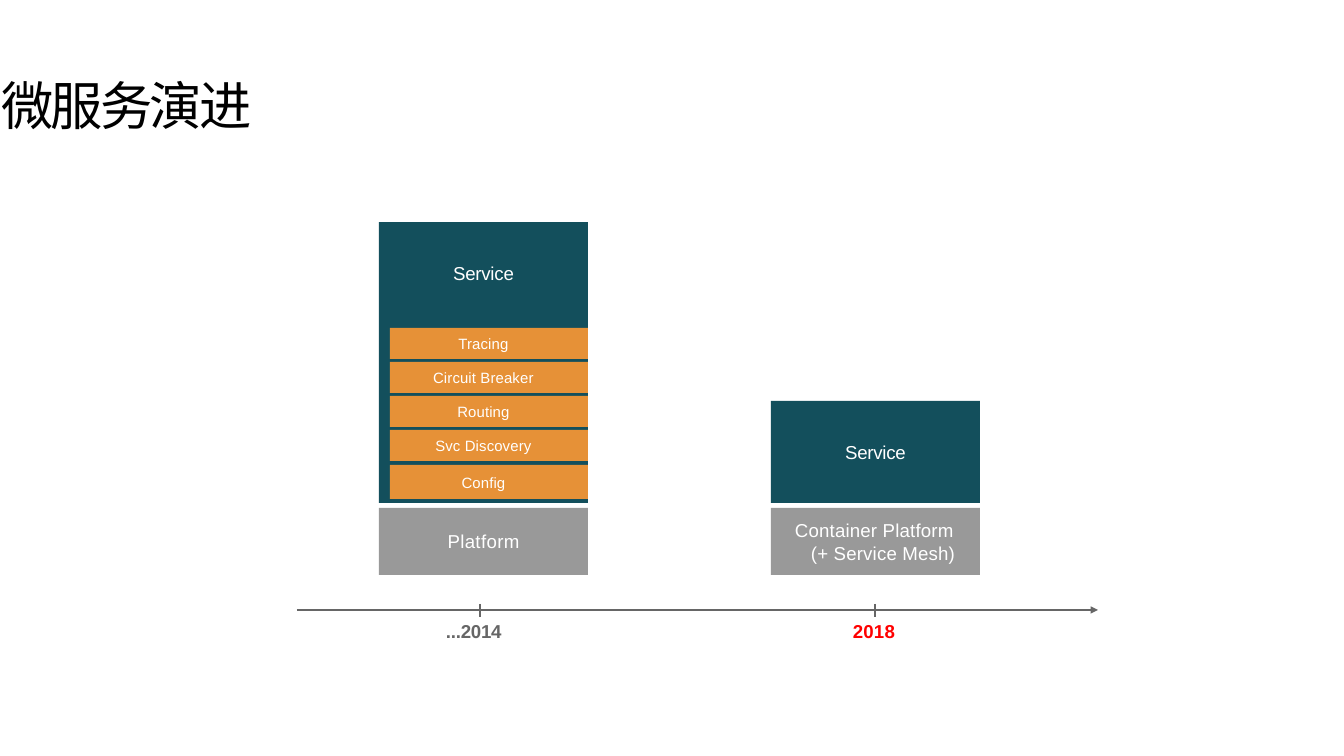
from dataclasses import dataclass

from pptx import Presentation
from pptx.dml.color import RGBColor
from pptx.enum.shapes import MSO_CONNECTOR, MSO_SHAPE
from pptx.enum.text import MSO_ANCHOR, MSO_AUTO_SIZE, PP_ALIGN
from pptx.oxml.ns import qn
from pptx.util import Emu, Pt
from lxml import etree

RECTANGLE = MSO_SHAPE.RECTANGLE
STRAIGHT = MSO_CONNECTOR.STRAIGHT
LEFT, CENTER = PP_ALIGN.LEFT, PP_ALIGN.CENTER
TOP, MIDDLE = MSO_ANCHOR.TOP, MSO_ANCHOR.MIDDLE
TITLE_ONLY = 5

TEAL = RGBColor(0x13, 0x4F, 0x5C)
ORANGE = RGBColor(0xE6, 0x91, 0x37)
GRAY = RGBColor(0x99, 0x99, 0x99)
DARK_GRAY = RGBColor(0x66, 0x66, 0x66)
RED = RGBColor(0xFF, 0x00, 0x00)
WHITE = RGBColor(0xFF, 0xFF, 0xFF)
BLACK = RGBColor(0x00, 0x00, 0x00)

EMU_PER_PX = 914400 / 134.4

# Shared geometry in px
BLOCK_WIDTH = 209
OLD_LEFT, NEW_LEFT = 379, 771
SERVICE_BOTTOM = 503
PLATFORM_TOP, PLATFORM_HEIGHT = 508, 67
BAR_LEFT, BAR_WIDTH, BAR_HEIGHT = 390, 198, 31
FIRST_BAR_TOP, LAST_BAR_TOP = 328, 465
AXIS_LEFT, AXIS_RIGHT, AXIS_Y = 297, 1098, 610
TICK_TOP, TICK_BOTTOM = 604, 617


@dataclass
class Block:
    text: str
    left: int
    top: int
    width: int
    height: int
    fill: RGBColor
    size: int = 10
    spacing: int = 0  # hundredths of a point
    anchor: MSO_ANCHOR = MIDDLE
    inset_top: int = 0
    inset_right: int = 0


@dataclass
class Year:
    text: str
    left: int
    width: int
    tick_x: int
    color: RGBColor
    spacing: int


def px(length: int) -> Emu:
    return Emu(round(length * EMU_PER_PX))


def format_text(text_frame, font_name: str, size: int, color: RGBColor,
                spacing: int, alignment=CENTER, bold: bool = False) -> None:
    for paragraph in text_frame.paragraphs:
        paragraph.alignment = alignment
        for run in paragraph.runs:
            run.font.name = font_name
            run.font.size = Pt(size)
            run.font.bold = bold
            run.font.color.rgb = color
            run.font._element.set("spc", str(spacing))


def set_frame(text_frame, anchor=MIDDLE, left: int = 0, top: int = 0,
              right: int = 0) -> None:
    text_frame.word_wrap = True
    text_frame.auto_size = MSO_AUTO_SIZE.NONE
    text_frame.vertical_anchor = anchor
    text_frame.margin_left, text_frame.margin_top = px(left), px(top)
    text_frame.margin_right, text_frame.margin_bottom = px(right), 0


def add_block(slide, block: Block):
    shape = slide.shapes.add_shape(RECTANGLE, px(block.left), px(block.top),
                                   px(block.width), px(block.height))
    shape.shadow.inherit = False
    shape.fill.solid()
    shape.fill.fore_color.rgb = block.fill
    shape.line.fill.background()
    set_frame(shape.text_frame, block.anchor, top=block.inset_top,
              right=block.inset_right)
    shape.text_frame.text = block.text
    format_text(shape.text_frame, "Arial", block.size, WHITE, block.spacing)
    return shape


def add_line(slide, x1: int, y1: int, x2: int, y2: int, arrow: bool = False) -> None:
    line = slide.shapes.add_connector(STRAIGHT, px(x1), px(y1), px(x2), px(y2))
    line.line.color.rgb = DARK_GRAY
    line.line.width = Pt(0.75)
    properties = line._element.spPr
    if arrow:
        etree.SubElement(properties.find(qn("a:ln")), qn("a:tailEnd"),
                         type="triangle", w="sm", len="sm")
    etree.SubElement(properties, qn("a:effectLst"))


def add_year(slide, year: Year) -> None:
    add_line(slide, year.tick_x, TICK_TOP, year.tick_x, TICK_BOTTOM)
    box = slide.shapes.add_textbox(px(year.left), px(618), px(year.width), px(26))
    set_frame(box.text_frame, left=1)
    box.text_frame.text = year.text
    format_text(box.text_frame, "Arial", 10, year.color, year.spacing, LEFT, bold=True)


def main() -> None:
    presentation = Presentation()
    presentation.slide_width, presentation.slide_height = px(1344), px(756)
    slide = presentation.slides.add_slide(presentation.slide_layouts[TITLE_ONLY])

    # Title
    title = slide.shapes.title
    title.left, title.top, title.width, title.height = px(0), px(71), px(712), px(66)
    set_frame(title.text_frame, left=1, top=1)
    title.text_frame.text = "微服务演进"
    format_text(title.text_frame, "Calibri", 28, BLACK, -140, LEFT)

    # Old stack: the service carries its own infrastructure libraries
    add_block(slide, Block("Service", OLD_LEFT, 222, BLOCK_WIDTH, SERVICE_BOTTOM - 222,
                           TEAL, spacing=-10, anchor=TOP, inset_top=40))
    bars = ["Tracing", "Circuit Breaker", "Routing", "Svc Discovery", "Config"]
    for index, text in enumerate(bars):
        top = FIRST_BAR_TOP + (LAST_BAR_TOP - FIRST_BAR_TOP) * index // (len(bars) - 1)
        height = 34 if text == bars[-1] else BAR_HEIGHT
        add_block(slide, Block(text, BAR_LEFT, top, BAR_WIDTH, height, ORANGE,
                               size=8, spacing=5, inset_right=11))
    add_block(slide, Block("Platform", OLD_LEFT, PLATFORM_TOP, BLOCK_WIDTH,
                           PLATFORM_HEIGHT, GRAY, spacing=20))

    # New stack: the platform takes over the infrastructure
    add_block(slide, Block("Service", NEW_LEFT, 401, BLOCK_WIDTH, SERVICE_BOTTOM - 401,
                           TEAL, spacing=-10))
    platform = add_block(slide, Block("Container Platform\v(+ Service Mesh)", NEW_LEFT,
                                      PLATFORM_TOP, BLOCK_WIDTH, PLATFORM_HEIGHT, GRAY,
                                      spacing=10))
    paragraph = platform.text_frame.paragraphs[0]
    paragraph.alignment = LEFT
    paragraph.line_spacing = Pt(12)
    indents = paragraph._p.get_or_add_pPr()
    indents.set("marL", str(px(40)))
    indents.set("indent", str(px(-16)))

    # Timeline
    add_line(slide, AXIS_LEFT, AXIS_Y, AXIS_RIGHT, AXIS_Y, arrow=True)
    for year in (Year("...2014", 445, 60, 480, DARK_GRAY, -10),
                 Year("2018", 852, 47, 875, RED, 10)):
        add_year(slide, year)

    presentation.save("out.pptx")


if __name__ == "__main__":
    main()
